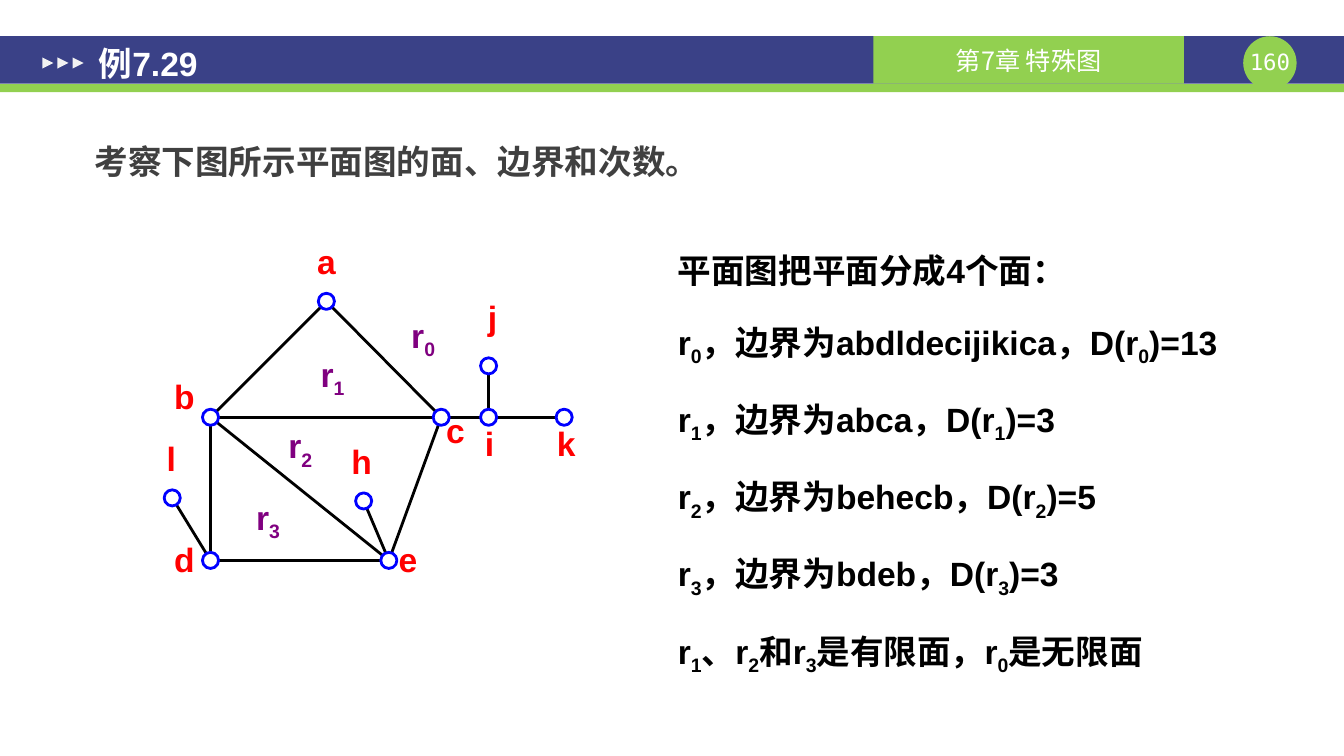
from lxml.etree import SubElement
from pptx import Presentation
from pptx.dml.color import RGBColor
from pptx.enum.shapes import MSO_CONNECTOR, MSO_SHAPE
from pptx.enum.text import MSO_ANCHOR, PP_ALIGN
from pptx.oxml.ns import qn
from pptx.util import Inches, Pt

CELL = Inches(0.1)
COLS, ROWS = 133.4, 75
CJK = "Noto Sans CJK SC"
NAVY, GREEN, WHITE, BLACK = "3A4187", "92D050", "FFFFFF", "000000"
NODE_SIZE = 1.6
LABEL_W, LABEL_H = 4.8, 4

NODES = {
    "a": (32.4, 29.9), "b": (20.9, 41.4), "c": (43.8, 41.4),
    "d": (20.9, 55.6), "e": (38.6, 55.6), "h": (36.1, 49.7),
    "i": (48.5, 41.4), "j": (48.5, 36.3), "k": (56, 41.4),
    "l": (17.1, 49.4),
}
EDGES = "ab ac bc bd be ce de dl eh ci ij ik".split()
NODE_LABELS = {
    "a": (30, 23.9), "b": (15.9, 37.3), "c": (42.8, 40.7),
    "d": (15.9, 53.5), "e": (38.1, 53.5), "h": (33.5, 43.7),
    "i": (46.2, 42), "j": (46.5, 29.5), "k": (53.8, 42),
    "l": (14.6, 43.4),
}
FACE_LABELS = {
    "r_0": (39.6, 31.2), "r_1": (30.6, 35.1),
    "r_2": (27.4, 42.2), "r_3": (24.2, 49.3),
}
ANSWER = [
    "平面图把平面分成4个面：",
    "r_0，边界为abdldecijikica，D(r_0)=13",
    "r_1，边界为abca，D(r_1)=3",
    "r_2，边界为behecb，D(r_2)=5",
    "r_3，边界为bdeb，D(r_3)=3",
    "r_1、r_2和r_3是有限面，r_0是无限面",
]


def rgb(color):
    return RGBColor.from_string(color)


def cells(*counts):
    return [round(n * CELL) for n in counts]


def add_runs(p, text):
    plain, *parts = text.split("_")
    if plain:
        p.add_run().text = plain
    for part in parts:
        r = p.add_run()
        r.text = part[0]
        r.font._element.set("baseline", "-25000")
        if part[1:]:
            p.add_run().text = part[1:]


def add_text(s, box, lines, color, size=24, bold=True, font="Arial",
             align=PP_ALIGN.LEFT, anchor=MSO_ANCHOR.TOP,
             inset=(0, 0), spacing=None, before=0):
    tf = s.shapes.add_textbox(*cells(*box)).text_frame
    tf.word_wrap = True
    tf.vertical_anchor = anchor
    tf.margin_left = tf.margin_right = round(inset[0] * CELL)
    tf.margin_top = tf.margin_bottom = round(inset[1] * CELL)
    for n, line in enumerate(lines):
        p = tf.add_paragraph() if n else tf.paragraphs[0]
        p.alignment = align
        if spacing:
            p.line_spacing = spacing
        if n:
            p.space_before = Pt(before)
        add_runs(p, line)
        p.font.size = Pt(size)
        p.font.bold = bold
        p.font.name = font
        p.font.color.rgb = rgb(color)
        SubElement(p.font._element, qn("a:ea"), typeface=CJK)


def add_block(s, kind, box, fill, line=None):
    sp = s.shapes.add_shape(kind, *cells(*box))
    sp.shadow.inherit = False
    sp.fill.solid()
    sp.fill.fore_color.rgb = rgb(fill)
    if line:
        sp.line.color.rgb = rgb(line)
        sp.line.width = Pt(2)
    else:
        sp.line.fill.background()
    return sp


def add_edge(s, start, end):
    cx = s.shapes.add_connector(MSO_CONNECTOR.STRAIGHT, *cells(*start, *end))
    cx.line.color.rgb = rgb(BLACK)
    cx.line.width = Pt(2)
    SubElement(cx._element.spPr, qn("a:effectLst"))


def add_node(s, x, y):
    half = NODE_SIZE / 2
    add_block(s, MSO_SHAPE.OVAL, (x - half, y - half, NODE_SIZE, NODE_SIZE),
              WHITE, "0000FF")


def add_labels(s, labels, color):
    for text, (left, top) in labels.items():
        add_text(s, (left, top, LABEL_W, LABEL_H), [text], color,
                 align=PP_ALIGN.CENTER)


def add_header(s):
    chapter = (86.7, 3.6, 30.8, 4.7)
    add_block(s, MSO_SHAPE.RECTANGLE, (0, 3.6, COLS, 4.7), NAVY)
    add_block(s, MSO_SHAPE.RECTANGLE, (0, 8.35, COLS, 0.8), GREEN)
    add_block(s, MSO_SHAPE.OVAL, (123.4, 3.6, 5.3, 5.3), GREEN)
    add_block(s, MSO_SHAPE.RECTANGLE, chapter, GREEN)
    for n in range(3):
        box = (4.2 + 1.5 * n, 5.7, 1.1, 1.1)
        add_block(s, MSO_SHAPE.ISOSCELES_TRIANGLE, box, "F2F2F2").rotation = 90
    add_text(s, (123.4, 4.8, 5.3, 2.7), ["160"], WHITE, 16, False,
             "DejaVu Sans Mono", PP_ALIGN.CENTER)
    add_text(s, chapter, ["第7章 特殊图"], WHITE, 18, False, CJK,
             PP_ALIGN.CENTER, MSO_ANCHOR.MIDDLE, inset=(1, 0.2))
    add_text(s, (8.5, 3.9, 58.3, 4.7), ["例7.29"], WHITE,
             anchor=MSO_ANCHOR.MIDDLE, inset=(1.3, 0.7))


def add_graph(s):
    for start, end in EDGES:
        add_edge(s, NODES[start], NODES[end])
    for centre in NODES.values():
        add_node(s, *centre)
    add_labels(s, NODE_LABELS, "FF0000")
    add_labels(s, FACE_LABELS, "800080")


def main():
    prs = Presentation()
    prs.slide_width, prs.slide_height = cells(COLS, ROWS)
    s = prs.slides.add_slide(prs.slide_layouts[6])
    add_header(s)
    add_text(s, (8.9, 12.5, 117.6, 8.9),
             ["考察下图所示平面图的面、边界和次数。"], "404040",
             inset=(0.5, 0.7), spacing=1.2)
    add_graph(s)
    add_text(s, (66.3, 22.3, 60.3, 41.6), ANSWER, BLACK,
             inset=(1, 0.5), spacing=1.5, before=6)
    prs.save("out.pptx")


if __name__ == "__main__":
    main()
